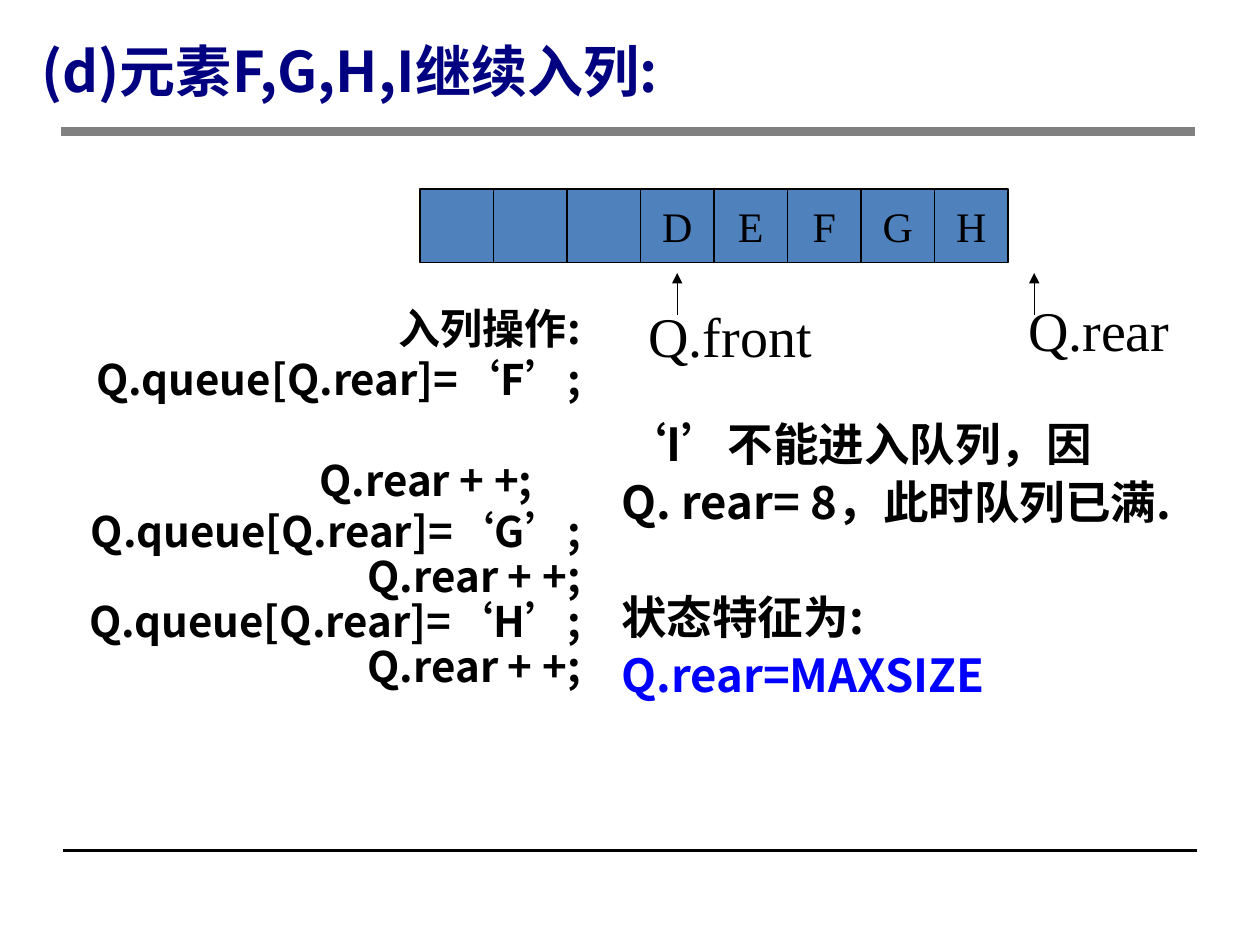
from lxml.etree import SubElement
from pptx import Presentation
from pptx.dml.color import RGBColor
from pptx.enum.shapes import MSO_CONNECTOR, MSO_SHAPE
from pptx.enum.text import MSO_ANCHOR, MSO_AUTO_SIZE, PP_ALIGN
from pptx.oxml.ns import qn
from pptx.util import Pt

COLORS = {"black": "000000", "navy": "000080", "blue": "0000FF",
          "gray": "808080", "cell": "4F81BD"}
SANS = "Noto Sans CJK SC"
SERIF = "Times New Roman"


def color(name):
    return RGBColor.from_string(COLORS[name])


def place(shape, left, top, width, height):
    shape.left, shape.top = Pt(left), Pt(top)
    shape.width, shape.height = Pt(width), Pt(height)


def prepare_frame(shape, anchor=MSO_ANCHOR.TOP, wrap=True):
    frame = shape.text_frame
    frame.auto_size = MSO_AUTO_SIZE.NONE
    frame.word_wrap = wrap
    frame.vertical_anchor = anchor
    return frame


def add_span(para, text, size, font=SANS, ink="black", bold=False):
    span = para.add_run()
    span.text = text
    span.font.size = Pt(size)
    span.font.name = font
    span.font.bold = bold
    span.font.color.rgb = color(ink)
    properties = span.font._element
    properties.set("lang", "zh-CN")
    SubElement(properties, qn("a:ea")).set("typeface", font)


def add_paragraphs(frame, lines, size, align):
    """Each line is (text, line pitch, space before, right margin, ink)."""
    for index, (text, pitch, before, margin, ink) in enumerate(lines):
        para = frame.add_paragraph() if index else frame.paragraphs[0]
        para.alignment = align
        para.line_spacing = Pt(pitch)
        para.space_before = Pt(before)
        properties = para._p.get_or_add_pPr()
        properties.set("marL", "0")
        properties.set("marR", str(Pt(margin)))
        properties.set("indent", "0")
        SubElement(properties, qn("a:buNone"))
        add_span(para, text, size, ink=ink, bold=True)


def add_line(page, start, end, ink, weight, arrow=False):
    line = page.shapes.add_connector(
        MSO_CONNECTOR.STRAIGHT, *(Pt(value) for value in start + end))
    line.line.color.rgb = color(ink)
    line.line.width = Pt(weight)
    if arrow:
        SubElement(line.line._get_or_add_ln(), qn("a:tailEnd")).set("type", "triangle")
    SubElement(line._element.spPr, qn("a:effectLst"))


def add_title(page, left, top, width, height):
    title = page.shapes.title
    place(title, left, top, width, height)
    para = prepare_frame(title, MSO_ANCHOR.MIDDLE).paragraphs[0]
    para.alignment = PP_ALIGN.LEFT
    para.line_spacing = Pt(40)
    add_span(para, "(d)元素F,G,H,I继续入列:", 32, ink="navy", bold=True)


def add_operations(page, left, top, width, height):
    body = page.placeholders[1]
    place(body, left, top, width, height)
    lines = [
        ("入列操作:", 29, 0, 0, "black"),
        ("Q.queue[Q.rear]=‘F’;", 29, 0, 0, "black"),
        ("Q.rear + +;", 29, 29, 27.5, "black"),
        ("Q.queue[Q.rear]=‘G’;", 29, 0, 0, "black"),
        ("Q.rear + +;", 25.7, 0, 0, "black"),
        ("Q.queue[Q.rear]=‘H’;", 25.7, 0, 0, "black"),
        ("Q.rear + +;", 25.7, 0, 0, "black"),
    ]
    add_paragraphs(prepare_frame(body), lines, 24, PP_ALIGN.RIGHT)


def add_queue(page, left, top, size, items):
    for index, item in enumerate(items):
        cell = page.shapes.add_shape(MSO_SHAPE.RECTANGLE, Pt(left + index * size),
                                     Pt(top), Pt(size), Pt(size))
        cell.shadow.inherit = False
        cell.fill.solid()
        cell.fill.fore_color.rgb = color("cell")
        cell.line.color.rgb = color("black")
        cell.line.width = Pt(0.75)
        if item:
            para = prepare_frame(cell, MSO_ANCHOR.MIDDLE, wrap=False).paragraphs[0]
            para.alignment = PP_ALIGN.CENTER
            add_span(para, item, 24, SERIF)


def add_pointer(page, label, arrow_x, left, top, width, height):
    add_line(page, (arrow_x, 180), (arrow_x, 156), "black", 0.75, arrow=True)
    box = page.shapes.add_textbox(Pt(left), Pt(top), Pt(width), Pt(height))
    para = prepare_frame(box).paragraphs[0]
    para.alignment = PP_ALIGN.RIGHT
    add_span(para, label, 32, SERIF)


def add_conclusion(page, left, top, width, height):
    box = page.shapes.add_textbox(Pt(left), Pt(top), Pt(width), Pt(height))
    lines = [
        ("‘I’不能进入队列，因", 33, 0, 0, "black"),
        ("Q. rear= 8，此时队列已满.", 33, 0, 0, "black"),
        ("状态特征为:", 33, 33, 0, "black"),
        ("Q.rear=MAXSIZE", 33, 0, 0, "blue"),
    ]
    add_paragraphs(prepare_frame(box), lines, 26, PP_ALIGN.LEFT)


def main():
    deck = Presentation()
    deck.slide_width, deck.slide_height = Pt(720), Pt(540)
    page = deck.slides.add_slide(deck.slide_layouts[1])
    add_line(page, (36, 486), (684, 486), "black", 2)
    add_line(page, (35, 75), (683, 75), "gray", 5)
    add_title(page, 16.5, 18, 531.5, 43)
    add_operations(page, 27.5, 169, 311.5, 292.5)
    add_queue(page, 240, 108, 42, ["", "", "", "D", "E", "F", "G", "H"])
    add_pointer(page, "Q.front", 387, 348.5, 168.5, 122.5, 45.5)
    add_pointer(page, "Q.rear", 591, 559.5, 165.5, 116, 45.5)
    add_conclusion(page, 348, 232.5, 330, 222)
    deck.save("out.pptx")


if __name__ == "__main__":
    main()
